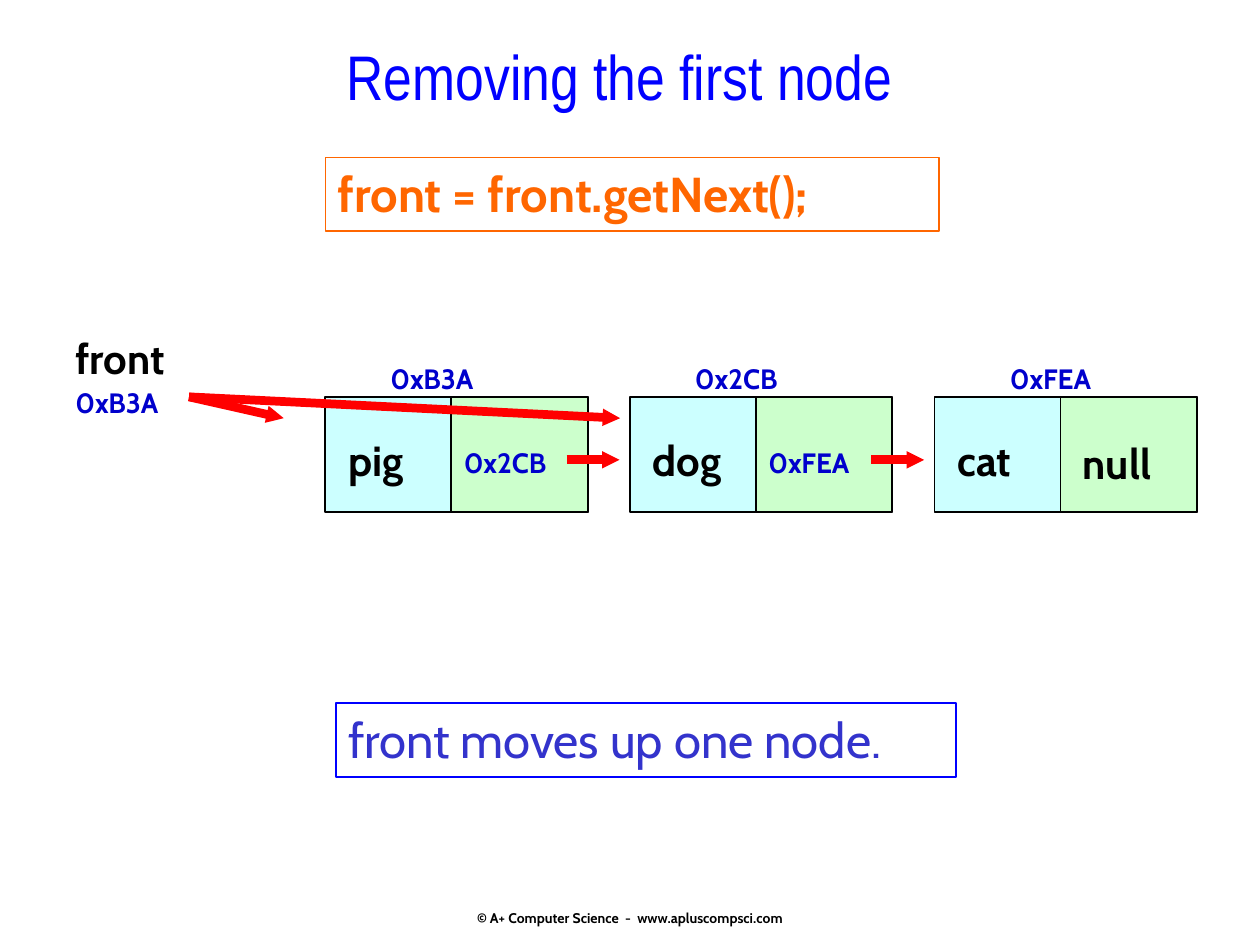
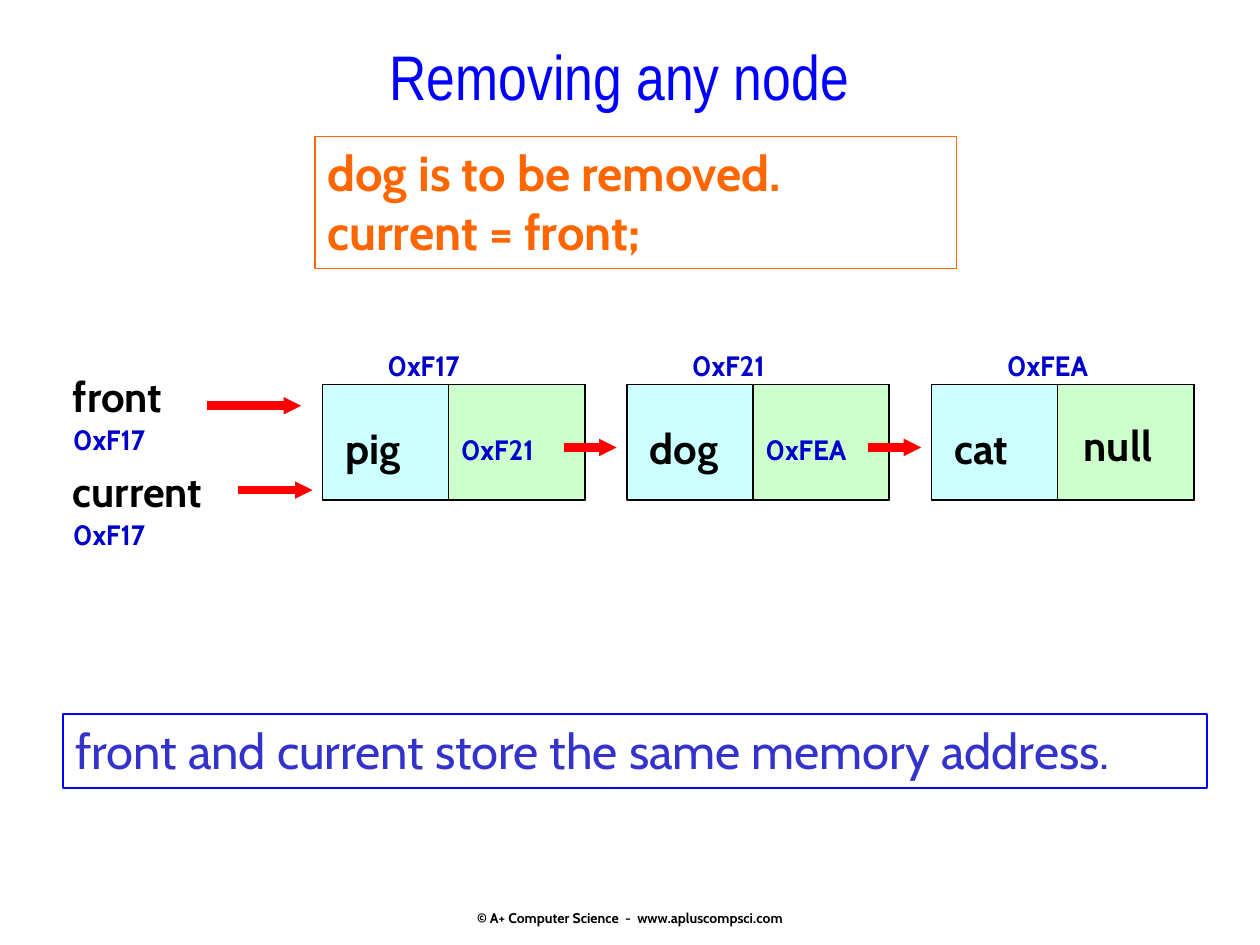
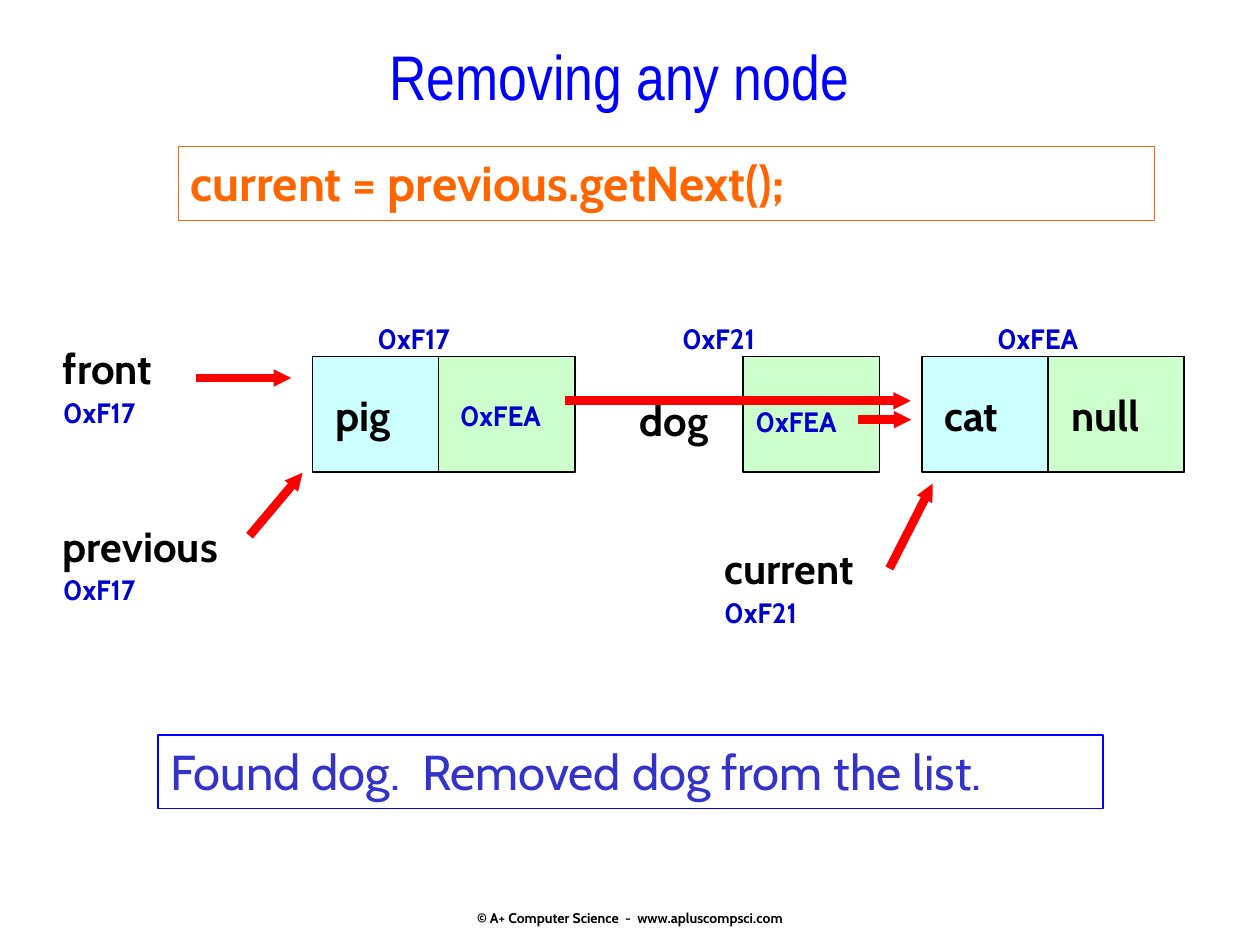
"""Build three slides on removing nodes from a linked list."""
from lxml import etree
from pptx import Presentation
from pptx.dml.color import RGBColor
from pptx.enum.shapes import MSO_CONNECTOR, MSO_SHAPE
from pptx.enum.text import MSO_ANCHOR, MSO_AUTO_SIZE, PP_ALIGN
from pptx.oxml.ns import qn
from pptx.util import Cm, Pt

RECT = MSO_SHAPE.RECTANGLE
LINE = MSO_CONNECTOR.STRAIGHT
TOP, BOTTOM = MSO_ANCHOR.TOP, MSO_ANCHOR.BOTTOM
CENTER, LEFT = PP_ALIGN.CENTER, PP_ALIGN.LEFT
FIXED = MSO_AUTO_SIZE.NONE

BLACK = RGBColor(0x00, 0x00, 0x00)
BLUE = RGBColor(0x00, 0x00, 0xFF)
NAVY = RGBColor(0x00, 0x00, 0xCC)
INDIGO = RGBColor(0x33, 0x33, 0xCC)
ORANGE = RGBColor(0xFF, 0x66, 0x00)
RED = RGBColor(0xFF, 0x00, 0x00)
CYAN = RGBColor(0xCC, 0xFF, 0xFF)
GREEN = RGBColor(0xCC, 0xFF, 0xCC)

FONT, NARROW = "Cabin", "Arial Narrow"
FOOTER = "© A+ Computer Science  -  www.apluscompsci.com"
TITLE_BOX = (6.77, 0.62, 11.43, 1.48)
FOOT_BOX = (8.68, 17.35, 8.05, 1.32)

NODE_W, NODE_H, DATA_W, STEP = 5.29, 2.33, 2.54, 6.14
LINK_W = NODE_W - DATA_W
WORD_H, ADDR_H = 1.27, 0.93
NAME_W = {"front": 2.97, "current": 3.81, "previous": 4.45}

# node: word, its drop, next, shift and drop of next, address, shift of address
SLIDES = [
    {
        "title": "Removing the first node",
        "code": (["front = front.getNext();"], (6.56, 3.18, 12.37, 1.48)),
        "note": (["front moves up one node."], (6.77, 14.18, 12.5, 1.48)),
        "start": (6.56, 8.0),
        "nodes": [
            ("pig", 0.64, "0x2CB", 2.54, 0.85, "0xB3A", 1.06),
            ("dog", 0.64, "0xFEA", 2.54, 0.85, "0x2CB", 1.06),
            ("cat", 0.64, "null", 2.74, 0.69, "0xFEA", 1.27),
        ],
        "gone": [],
        "hops": [0, 1],
        "names": [("front", "0xB3A", 1.27, 6.58)],
        "arrows": [(3.81, 8.0, 12.5, 8.43), (3.81, 8.0, 5.72, 8.43)],
    },
    {
        "title": "Removing any node",
        "code": (["dog is to be removed.", "current = front;"],
                 (6.35, 2.75, 12.93, 2.67)),
        "note": (["front and current store the same memory address."],
                 (1.27, 14.4, 23.07, 1.48)),
        "start": (6.5, 7.75),
        "nodes": [
            ("pig", 0.64, "0xF21", 2.54, 0.85, "0xF17", 1.06),
            ("dog", 0.64, "0xFEA", 2.54, 0.85, "0xF21", 1.06),
            ("cat", 0.64, "null", 2.82, 0.58, "0xFEA", 1.27),
        ],
        "gone": [],
        "hops": [0, 1],
        "names": [("front", "0xF17", 1.22, 7.34),
                  ("current", "0xF17", 1.22, 9.25)],
        "arrows": [(4.17, 8.18, 6.07, 8.18), (4.8, 9.88, 6.3, 9.88)],
    },
    {
        "title": "Removing any node",
        "code": (["current = previous.getNext();"], (3.6, 2.96, 19.68, 1.48)),
        "note": (["Found dog.  Removed dog from the list."],
                 (3.18, 14.82, 19.05, 1.48)),
        "start": (6.3, 7.19),
        "nodes": [
            ("pig", 0.53, "0xFEA", 2.72, 0.71, "0xF17", 1.06),
            ("dog", 0.64, "0xFEA", 2.54, 0.85, "0xF21", 1.06),
            ("cat", 0.53, "null", 2.77, 0.53, "0xFEA", 1.27),
        ],
        "gone": ["dog"],
        "hops": [1],
        "names": [("front", "0xF17", 1.02, 6.78),
                  ("previous", "0xF17", 1.02, 10.36),
                  ("current", "0xF21", 14.35, 10.82)],
        "arrows": [(3.96, 7.62, 5.87, 7.62), (5.03, 10.8, 6.1, 9.53),
                   (11.38, 8.08, 18.36, 8.08), (17.93, 11.46, 18.8, 9.75)],
    },
]


def write(shape, lines, size, color, bold=True, font=FONT, align=LEFT, anchor=TOP):
    frame = shape.text_frame
    frame.word_wrap = True
    frame.auto_size = FIXED
    frame.vertical_anchor = anchor
    para = frame.paragraphs[0]
    para.alignment = align
    for i, line in enumerate(lines):
        if i:
            para.add_line_break()
        run = para.add_run()
        run.text = line
        run.font.name = font
        run.font.size = Pt(size)
        run.font.bold = bold
        run.font.color.rgb = color


def label(slide, text, box, size, color):
    write(slide.shapes.add_textbox(*map(Cm, box)), [text], size, color)


def word(slide, text, x, y, width):
    label(slide, text, (x, y, width, WORD_H), 24, BLACK)


def address(slide, text, x, y):
    label(slide, text, (x, y, LINK_W, ADDR_H), 16, NAVY)


def block(slide, box, line, width=1, fill=None):
    shape = slide.shapes.add_shape(RECT, *map(Cm, box))
    shape.shadow.inherit = False
    if fill is None:
        shape.fill.background()
    else:
        shape.fill.solid()
        shape.fill.fore_color.rgb = fill
    shape.line.color.rgb = line
    shape.line.width = Pt(width)
    return shape


def arrow(slide, ends):
    link = slide.shapes.add_connector(LINE, *map(Cm, ends))
    link.line.color.rgb = RED
    link.line.width = Pt(5)
    etree.SubElement(link.line._get_or_add_ln(), qn("a:tailEnd"),
                     type="triangle", w="sm", len="sm")
    etree.SubElement(link._element.spPr, qn("a:effectLst"))


def add_base(slide, text):
    title = slide.shapes.title
    title.left, title.top, title.width, title.height = map(Cm, TITLE_BOX)
    write(title, [text], 36, BLUE, False, NARROW, CENTER)
    frame = title.text_frame
    frame.word_wrap = False
    frame.margin_left = frame.margin_right = 0
    foot = slide.shapes.add_textbox(*map(Cm, FOOT_BOX))
    write(foot, [FOOTER], 8, BLACK, align=CENTER, anchor=BOTTOM)
    foot.text_frame.margin_bottom = 0


def add_nodes(slide, data):
    left, top = data["start"]
    for i, (name, drop, target, dx, dy, addr, shift) in enumerate(data["nodes"]):
        x = left + i * STEP
        if name not in data["gone"]:
            block(slide, (x, top, NODE_W, NODE_H), BLACK, fill=CYAN)
        block(slide, (x + DATA_W, top, LINK_W, NODE_H), BLACK, fill=GREEN)
        word(slide, name, x + 0.21, top + drop, 2.33)
        if target == "null":
            word(slide, target, x + dx, top + dy, LINK_W)
        else:
            address(slide, target, x + dx, top + dy)
        address(slide, addr, x + shift, top - 0.84)
    for i in data["hops"]:
        x, y = left + i * STEP, top + 1.27
        arrow(slide, (x + 4.86, y, x + 5.93, y))


def add_slide(deck, data):
    slide = deck.slides.add_slide(deck.slide_layouts[5])
    add_base(slide, data["title"])
    lines, box = data["code"]
    write(block(slide, box, ORANGE, 0.75), lines, 28, ORANGE)
    lines, box = data["note"]
    write(block(slide, box, BLUE), lines, 28, INDIGO, False)
    add_nodes(slide, data)
    for name, addr, x, y in data["names"]:
        word(slide, name, x, y, NAME_W[name])
        address(slide, addr, x, y + 1.06)
    for ends in data["arrows"]:
        arrow(slide, ends)


def main():
    deck = Presentation()
    deck.slide_width, deck.slide_height = Cm(25.4), Cm(19.05)
    for data in SLIDES:
        add_slide(deck, data)
    deck.save("out.pptx")


if __name__ == "__main__":
    main()
